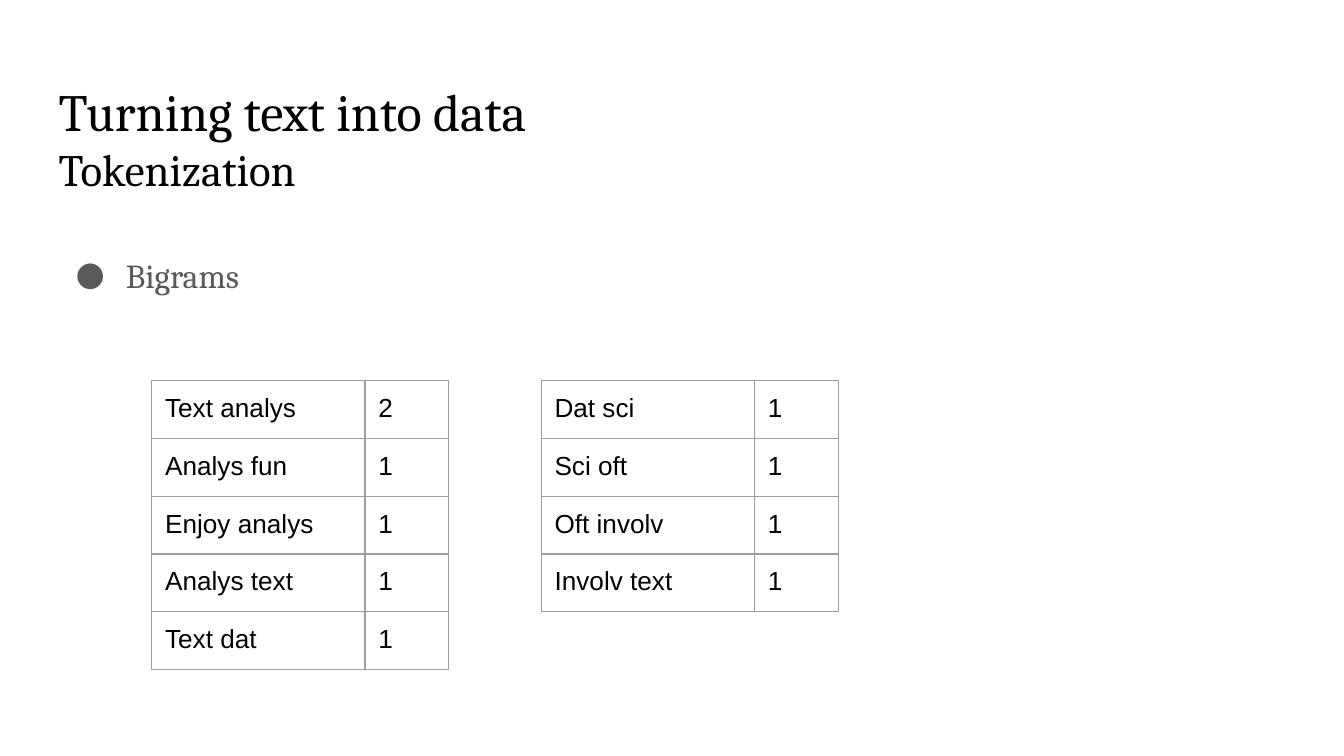
from lxml import etree
from pptx import Presentation
from pptx import util as u
from pptx.dml.color import RGBColor
from pptx.enum import text as t
from pptx.oxml import ns

COLORS = {"ink": "000000", "body": "595959", "border": "9E9E9E"}
INSET = u.Cm(0.25)


def write(paragraph, content, font="Cambria", size=18, color="ink"):
    run = paragraph.add_run()
    run.text = content
    run.font.name = font
    run.font.size = u.Pt(size)
    run.font.color.rgb = RGBColor.from_string(COLORS[color])


def add_color(parent, tag, color):
    holder = etree.SubElement(parent, ns.qn(tag))
    etree.SubElement(holder, ns.qn("a:srgbClr"), val=COLORS[color])


class SlideBuilder:
    def __init__(self, slide):
        self.slide = slide
        self.row_height = u.Cm(1.06)
        self.column_widths = (u.Cm(4.03), u.Cm(1.58))

    def text_box(self, left, top, width, height):
        frame = self.slide.shapes.add_textbox(
            u.Cm(left), u.Cm(top), u.Cm(width), u.Cm(height)).text_frame
        frame.word_wrap = True
        frame.vertical_anchor = t.MSO_ANCHOR.TOP
        frame.margin_left = frame.margin_right = INSET
        frame.margin_top = frame.margin_bottom = INSET
        return frame

    def bullet(self, paragraph, content, color):
        paragraph.line_spacing = 1.15
        props = paragraph._p.get_or_add_pPr()
        props.set("marL", str(u.Cm(1.27)))
        props.set("indent", str(-u.Cm(0.95)))
        add_color(props, "a:buClr", color)
        etree.SubElement(props, ns.qn("a:buFont"), typeface="Cambria")
        etree.SubElement(props, ns.qn("a:buChar"), char="●")
        write(paragraph, content, color=color)

    def cell(self, cell, content):
        cell.margin_left = cell.margin_right = INSET
        cell.margin_top = cell.margin_bottom = INSET
        props = cell._tc.get_or_add_tcPr()
        for side in "LRTB":
            line = etree.SubElement(props, ns.qn(f"a:ln{side}"), w=str(u.Pt(0.75)))
            add_color(line, "a:solidFill", "border")
        cell.fill.background()
        write(cell.text_frame.paragraphs[0], content, font="Arial", size=14)

    def count_table(self, left, top, counts):
        table = self.slide.shapes.add_table(
            len(counts), 2, u.Cm(left), u.Cm(top),
            sum(self.column_widths), self.row_height * len(counts)).table
        table.first_row = table.horz_banding = False
        for column, width in zip(table.columns, self.column_widths):
            column.width = width
        for r, pair in enumerate(counts):
            for c, content in enumerate(pair):
                self.cell(table.cell(r, c), str(content))


def main():
    deck = Presentation()
    deck.slide_width, deck.slide_height = u.Cm(25.4), u.Cm(14.29)
    builder = SlideBuilder(deck.slides.add_slide(deck.slide_layouts[6]))

    # Title and subtitle
    heading = builder.text_box(0.86, 1.24, 23.67, 1.6)
    write(heading.paragraphs[0], "Turning text into data", size=28)
    write(heading.add_paragraph(), "Tokenization", size=24)

    # Topic
    topic = builder.text_box(0.86, 4.45, 23.67, 8.25)
    builder.bullet(topic.paragraphs[0], "Bigrams", "body")

    # Bigram counts
    builder.count_table(2.87, 7.19, [
        ("Text analys", 2), ("Analys fun", 1), ("Enjoy analys", 1),
        ("Analys text", 1), ("Text dat", 1)])
    builder.count_table(10.23, 7.19, [
        ("Dat sci", 1), ("Sci oft", 1), ("Oft involv", 1), ("Involv text", 1)])

    deck.save("out.pptx")


if __name__ == "__main__":
    main()
